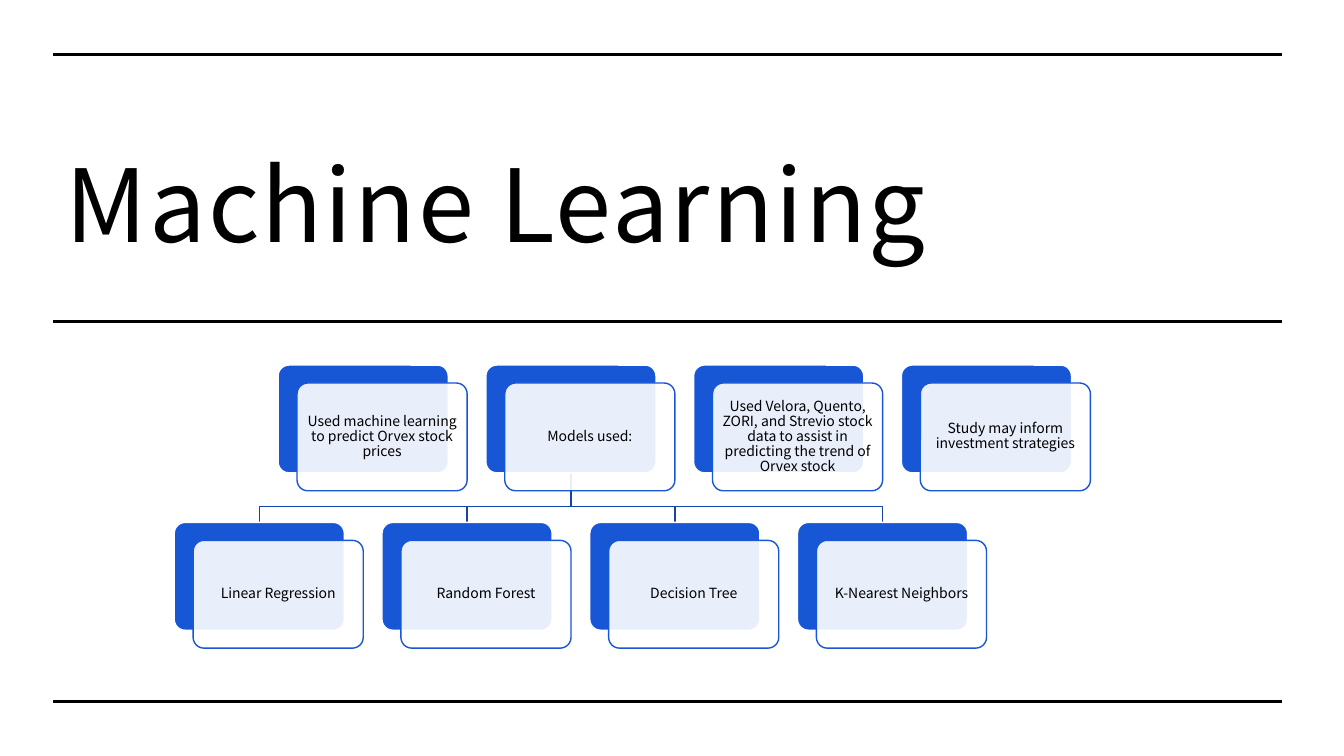
"""Build the machine learning slide with its tree of cards."""
from lxml.etree import SubElement
from pptx import Presentation
from pptx.dml.color import RGBColor
from pptx.enum.shapes import MSO_CONNECTOR as Link, MSO_SHAPE as Kind
from pptx.enum.text import MSO_ANCHOR as Anchor, MSO_AUTO_SIZE as Fit, PP_ALIGN as Align
from pptx.oxml.ns import qn
from pptx.util import Pt

BLACK = RGBColor(0x00, 0x00, 0x00)
WHITE = RGBColor(0xFF, 0xFF, 0xFF)
BLUE = RGBColor(0x17, 0x56, 0xD5)
NAVY = RGBColor(0x12, 0x45, 0xAB)
FONT = "Noto Sans CJK SC"
WIDE, HIGH, STEP = 121.5, 77, 148.4
LEFT, TOP, LOW = 124.5, 260.8, 373.2
HEAD = LEFT + STEP / 2
ROWS = [
    (HEAD, TOP, [
        "Used machine learning to predict Orvex stock prices",
        "Models used:",
        "Used Velora, Quento, ZORI, and Strevio stock data to assist in "
        "predicting the trend of Orvex stock",
        "Study may inform investment strategies",
    ]),
    (LEFT, LOW, ["Linear Regression", "Random Forest", "Decision Tree", "K-Nearest Neighbors"]),
]


def style(par, size, space, align):
    par.line_spacing = space
    par.alignment = align
    font = par.runs[0].font
    font.name = FONT
    font.size = Pt(size)
    font.color.rgb = BLACK


def card(left, top, fill, line):
    box = slide.shapes.add_shape(Kind.ROUNDED_RECTANGLE, Pt(left), Pt(top), Pt(WIDE), Pt(HIGH))
    box.adjustments[0] = 0.1
    box.shadow.inherit = False
    box.fill.solid()
    box.fill.fore_color.rgb = fill
    box.line.color.rgb = line
    box.line.width = Pt(1)
    return box


deck = Presentation()
deck.slide_width, deck.slide_height = Pt(960), Pt(540)
slide = deck.slides.add_slide(deck.slide_layouts[5])

title = slide.shapes.title
title.left, title.top, title.width, title.height = Pt(38.2), Pt(77), Pt(662.4), Pt(117.4)
frame = title.text_frame
frame.text = "Machine Learning"
frame.auto_size = Fit.NONE
frame.word_wrap = True
frame.vertical_anchor = Anchor.MIDDLE
frame.margin_left = frame.margin_right = frame.margin_top = Pt(8.64)
frame.margin_bottom = Pt(7.2)
style(frame.paragraphs[0], 72, 1.18, Align.LEFT)
frame.paragraphs[0].runs[0]._r.get_or_add_rPr().set("spc", "150")

for y in (38.9, 229.7, 501.1):
    rule = slide.shapes.add_connector(Link.STRAIGHT, Pt(38.2), Pt(y), Pt(915.8), Pt(y))
    rule.line.color.rgb = BLACK
    rule.line.width = Pt(2.25)
    SubElement(rule._element.spPr, qn("a:effectLst"))

stem = HEAD + STEP + WIDE / 2
for col in range(4):
    leaf = LEFT + col * STEP + WIDE / 2
    path = slide.shapes.build_freeform(Pt(stem), Pt(TOP + HIGH))
    path.add_line_segments(
        [(Pt(stem), Pt(361.6)), (Pt(leaf), Pt(361.6)), (Pt(leaf), Pt(LOW))], close=False)
    branch = path.convert_to_shape()
    branch.shadow.inherit = False
    branch.fill.background()
    branch.line.color.rgb = NAVY
    branch.line.width = Pt(1)

for start, top, labels in ROWS:
    for col, label in enumerate(labels):
        left = start + col * STEP
        card(left, top, BLUE, WHITE)
        front = card(left + 13.5, top + 12.8, WHITE, BLUE)
        tint = front._element.spPr.find(qn("a:solidFill")).find(qn("a:srgbClr"))
        SubElement(tint, qn("a:alpha")).set("val", "90000")
        frame = front.text_frame
        frame.text = label
        frame.word_wrap = True
        frame.vertical_anchor = Anchor.MIDDLE
        frame.margin_left = frame.margin_right = Pt(3)
        frame.margin_top = frame.margin_bottom = Pt(3)
        style(frame.paragraphs[0], 10, 0.9, Align.CENTER)

deck.save("out.pptx")
